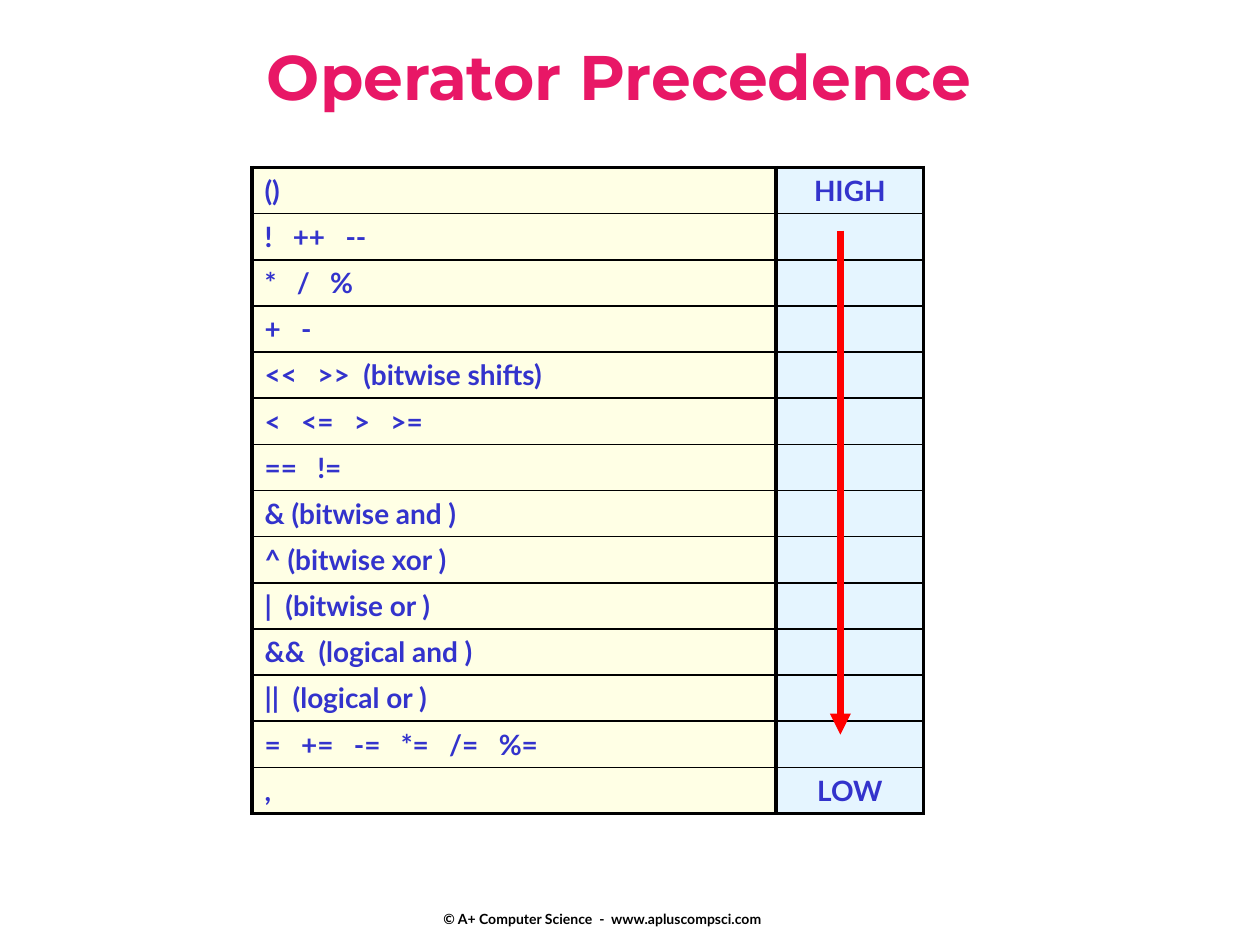
from lxml.etree import SubElement
from pptx import Presentation
from pptx.dml.color import RGBColor
from pptx.enum.shapes import MSO_CONNECTOR
from pptx.enum.text import MSO_ANCHOR, MSO_AUTO_SIZE, PP_ALIGN
from pptx.oxml.ns import qn
from pptx.util import Inches, Pt

PINK = RGBColor(0xE8, 0x17, 0x66)
INDIGO = RGBColor(0x33, 0x33, 0xCC)
CREAM = RGBColor(0xFF, 0xFF, 0xCC)
SKY = RGBColor(0xCC, 0xEC, 0xFF)
RED = RGBColor(0xFF, 0x00, 0x00)
BLACK = RGBColor(0x00, 0x00, 0x00)

OPERATORS = [
    "()",
    "!   ++   --",
    "*   /   %",
    "+   -",
    "<<   >>  (bitwise shifts)",
    "<   <=   >   >=",
    "==   !=",
    "& (bitwise and )",
    "^ (bitwise xor )",
    "|  (bitwise or )",
    "&&  (logical and )",
    "||  (logical or )",
    "=   +=   -=   *=   /=   %=",
    ",",
]


def add_run(paragraph, text, font_name, size, color):
    run = paragraph.add_run()
    run.text = text
    run.font.name = font_name
    run.font.size = Pt(size)
    run.font.bold = True
    run.font.color.rgb = color


def add_title(slide, left, top, width, height):
    title = slide.shapes.title
    title.left, title.top = Inches(left), Inches(top)
    title.width, title.height = Inches(width), Inches(height)
    frame = title.text_frame
    frame.auto_size = MSO_AUTO_SIZE.NONE
    frame.word_wrap = False
    frame.vertical_anchor = MSO_ANCHOR.TOP
    heading = frame.paragraphs[0]
    heading.alignment = PP_ALIGN.CENTER
    add_run(heading, "Operator Precedence", "Montserrat", 36, PINK)


def set_borders(cell, widths):
    properties = cell._tc.get_or_add_tcPr()
    for side, width in widths.items():
        border = SubElement(properties, qn(f"a:ln{side}"), w=str(Pt(width)))
        fill = SubElement(border, qn("a:solidFill"))
        SubElement(fill, qn("a:srgbClr"), val=str(BLACK))


def set_half_fill(cell, color):
    cell.fill.solid()
    cell.fill.fore_color.rgb = color
    tint = cell._tc.tcPr.find(qn("a:solidFill")).find(qn("a:srgbClr"))
    SubElement(tint, qn("a:alpha"), val="50000")


def add_precedence_table(slide, left, top, width, height):
    count = len(OPERATORS)
    table = slide.shapes.add_table(
        count, 2, Inches(left), Inches(top), Inches(width), Inches(height)
    ).table
    table.first_row = table.horz_banding = False
    level_width = 1.17
    table.columns[0].width = Inches(width - level_width)
    table.columns[1].width = Inches(level_width)
    levels = ["HIGH"] + [""] * (count - 2) + ["LOW"]

    for index, row_texts in enumerate(zip(OPERATORS, levels)):
        table.rows[index].height = Inches(height / count)
        widths = {
            "L": 2.25,
            "R": 2.25,
            "T": 2.25 if index == 0 else 1,
            "B": 2.25 if index == count - 1 else 1,
        }
        alignments = (PP_ALIGN.LEFT, PP_ALIGN.CENTER)
        for column, text in enumerate(row_texts):
            cell = table.cell(index, column)
            set_borders(cell, widths)
            set_half_fill(cell, (CREAM, SKY)[column])
            cell.vertical_anchor = MSO_ANCHOR.MIDDLE
            cell.margin_top = cell.margin_bottom = Inches(0.02)
            if text:
                entry = cell.text_frame.paragraphs[0]
                entry.alignment = alignments[column]
                add_run(entry, text, "Lato", 16, INDIGO)


def add_precedence_arrow(slide, x, top, bottom):
    arrow = slide.shapes.add_connector(
        MSO_CONNECTOR.STRAIGHT, Inches(x), Inches(top), Inches(x), Inches(bottom)
    )
    arrow.line.color.rgb = RED
    arrow.line.width = Pt(4)
    SubElement(arrow.line._get_or_add_ln(), qn("a:tailEnd"), type="triangle")
    SubElement(arrow._element.spPr, qn("a:effectLst"))


def add_footer(slide, left, top, width, height):
    footer = slide.shapes.add_textbox(
        Inches(left), Inches(top), Inches(width), Inches(height)
    )
    frame = footer.text_frame
    frame.word_wrap = True
    frame.vertical_anchor = MSO_ANCHOR.MIDDLE
    add_run(
        frame.paragraphs[0],
        "© A+ Computer Science  -  www.apluscompsci.com",
        "Lato", 8, BLACK,
    )


def main():
    deck = Presentation()
    deck.slide_width, deck.slide_height = Inches(10), Inches(7.5)
    slide = deck.slides.add_slide(deck.slide_layouts[5])
    add_footer(slide, 3.42, 7.14, 3.17, 0.3)
    add_title(slide, 0.83, 0.25, 8.17, 0.92)
    add_precedence_table(slide, 2, 1.33, 5.33, 5.13)
    add_precedence_arrow(slide, 6.67, 1.83, 5.83)
    deck.save("out.pptx")


if __name__ == "__main__":
    main()
